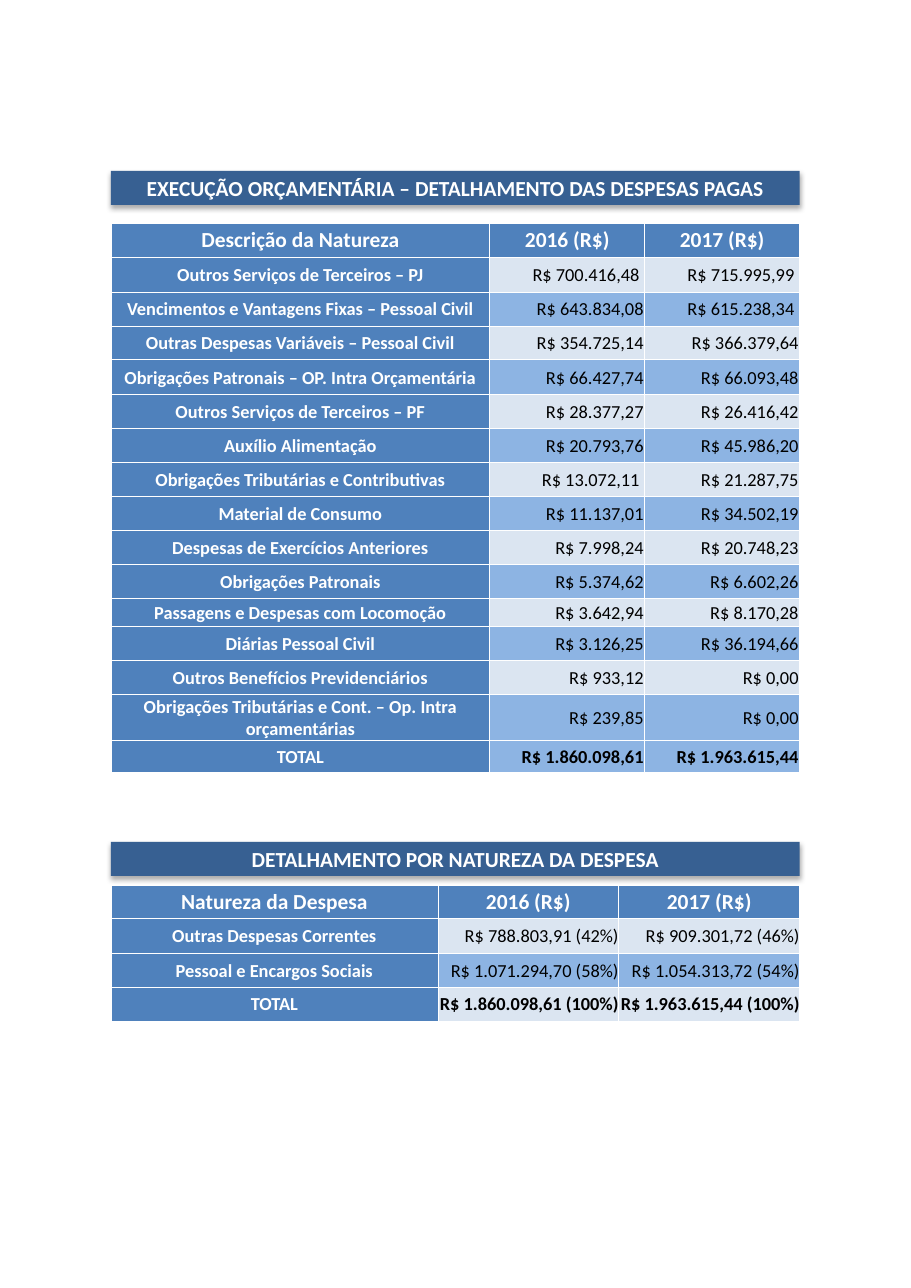
from lxml import etree
from pptx import Presentation
from pptx import util as u
from pptx.dml.color import RGBColor
from pptx.enum import shapes, text
from pptx.oxml import parse_xml
from pptx.oxml.ns import qn

PX = 8298  # EMU per px, 110.2 px to the inch
LEFT, WIDTH, BANNER_H, ROW_H = 111, 689, 34, 34
C = {"banner": "376092", "head": "4F81BC", "light": "DBE5F1",
     "mid": "8DB4E3", "white": "FFFFFF", "black": "000000"}
SHADOW = ('<a:effectLst xmlns:a="http://schemas.openxmlformats.org/drawingml/2006/main">'
          '<a:outerShdw blurRad="44450" dist="27940" dir="5400000" rotWithShape="0">'
          '<a:srgbClr val="000000"><a:alpha val="32000"/></a:srgbClr>'
          '</a:outerShdw></a:effectLst>')

prs = Presentation()
prs.slide_width, prs.slide_height = u.Inches(8.27), u.Inches(11.69)
s = prs.slides.add_slide(prs.slide_layouts[6])


def write(tf, words, size, color, bold, align):
    p = tf.paragraphs[0]
    p.alignment = align
    r = p.add_run()
    r.text = words
    r.font.name, r.font.size, r.font.bold = "Calibri", u.Pt(size), bold
    r.font.color.rgb = RGBColor.from_string(C[color])


def fill_cell(cell, color, margin):
    cell.vertical_anchor = text.MSO_ANCHOR.MIDDLE
    cell.margin_left = cell.margin_right = cell.margin_top = margin * PX
    cell.margin_bottom = 0
    tc_pr = cell._tc.get_or_add_tcPr()
    for side in ("lnL", "lnR", "lnT", "lnB"):
        ln = etree.SubElement(tc_pr, qn("a:" + side), w=str(u.Pt(0.5)))
        line_fill = etree.SubElement(ln, qn("a:solidFill"))
        etree.SubElement(line_fill, qn("a:srgbClr"), val=C["white"])
    cell.fill.solid()
    cell.fill.fore_color.rgb = RGBColor.from_string(C[color])


expenses = [
    ("Descrição da Natureza", "2016 (R$)", "2017 (R$)"),
    ("Outros Serviços de Terceiros – PJ", "R$ 700.416,48 ", "R$ 715.995,99 "),
    ("Vencimentos e Vantagens Fixas – Pessoal Civil", "R$ 643.834,08", "R$ 615.238,34 "),
    ("Outras Despesas Variáveis – Pessoal Civil", "R$ 354.725,14", "R$ 366.379,64"),
    ("Obrigações Patronais – OP. Intra Orçamentária", "R$ 66.427,74", "R$ 66.093,48"),
    ("Outros Serviços de Terceiros – PF", "R$ 28.377,27", "R$ 26.416,42"),
    ("Auxílio Alimentação", "R$ 20.793,76", "R$ 45.986,20"),
    ("Obrigações Tributárias e Contributivas", "R$ 13.072,11 ", "R$ 21.287,75"),
    ("Material de Consumo", "R$ 11.137,01", "R$ 34.502,19"),
    ("Despesas de Exercícios Anteriores", "R$ 7.998,24", "R$ 20.748,23"),
    ("Obrigações Patronais", "R$ 5.374,62", "R$ 6.602,26"),
    ("Passagens e Despesas com Locomoção", "R$ 3.642,94", "R$ 8.170,28"),
    ("Diárias Pessoal Civil", "R$ 3.126,25", "R$ 36.194,66"),
    ("Outros Benefícios Previdenciários", "R$ 933,12", "R$ 0,00"),
    ("Obrigações Tributárias e Cont. – Op. Intra orçamentárias", "R$ 239,85", "R$ 0,00"),
    ("TOTAL", "R$ 1.860.098,61", "R$ 1.963.615,44"),
]
by_nature = [
    ("Natureza da Despesa", "2016 (R$)", "2017 (R$)"),
    ("Outras Despesas Correntes", "R$ 788.803,91 (42%)", "R$ 909.301,72 (46%)"),
    ("Pessoal e Encargos Sociais", "R$ 1.071.294,70 (58%)", "R$ 1.054.313,72 (54%)"),
    ("TOTAL", "R$ 1.860.098,61 (100%)", "R$ 1.963.615,44 (100%)"),
]

# Title, banner top, table top, column widths, cell margin, odd row heights, rows
sections = [
    ("EXECUÇÃO ORÇAMENTÁRIA – DETALHAMENTO DAS DESPESAS PAGAS", 171, 223,
     (379, 155, 155), 1, {1: 35, 4: 35, 11: 28, 14: 46, 15: 32}, expenses),
    ("DETALHAMENTO POR NATUREZA DA DESPESA", 842, 885,
     (327, 181, 181), 0, {1: 35}, by_nature),
]

for title, banner_top, table_top, widths, margin, odd_heights, rows in sections:
    # Banner
    sp = s.shapes.add_shape(shapes.MSO_SHAPE.RECTANGLE, LEFT * PX, banner_top * PX,
                            WIDTH * PX, BANNER_H * PX)
    sp.fill.solid()
    sp.fill.fore_color.rgb = RGBColor.from_string(C["banner"])
    sp.line.fill.background()
    sp._element.spPr.append(parse_xml(SHADOW))
    tf = sp.text_frame
    tf.word_wrap = True
    tf.margin_top = tf.margin_bottom = 0
    tf.vertical_anchor = text.MSO_ANCHOR.MIDDLE
    write(tf, title, 14, "white", True, text.PP_ALIGN.CENTER)

    # Table
    heights = [odd_heights.get(i, ROW_H) for i in range(len(rows))]
    table = s.shapes.add_table(len(rows), len(widths), LEFT * PX, table_top * PX,
                               WIDTH * PX, sum(heights) * PX).table
    for col, width in zip(table.columns, widths):
        col.width = width * PX
    for i, row in enumerate(rows):
        table.rows[i].height = heights[i] * PX
        total = row[0] == "TOTAL"
        band = "light" if i % 2 else "mid"
        if total and rows is expenses:
            band = "mid"
        for j, words in enumerate(row):
            cell = table.cell(i, j)
            label = i == 0 or j == 0
            fill_cell(cell, "head" if label else band, margin)
            write(cell.text_frame, words, 12 if i else 14,
                  "white" if label else "black", label or total,
                  text.PP_ALIGN.CENTER if label else text.PP_ALIGN.RIGHT)

prs.save("out.pptx")
